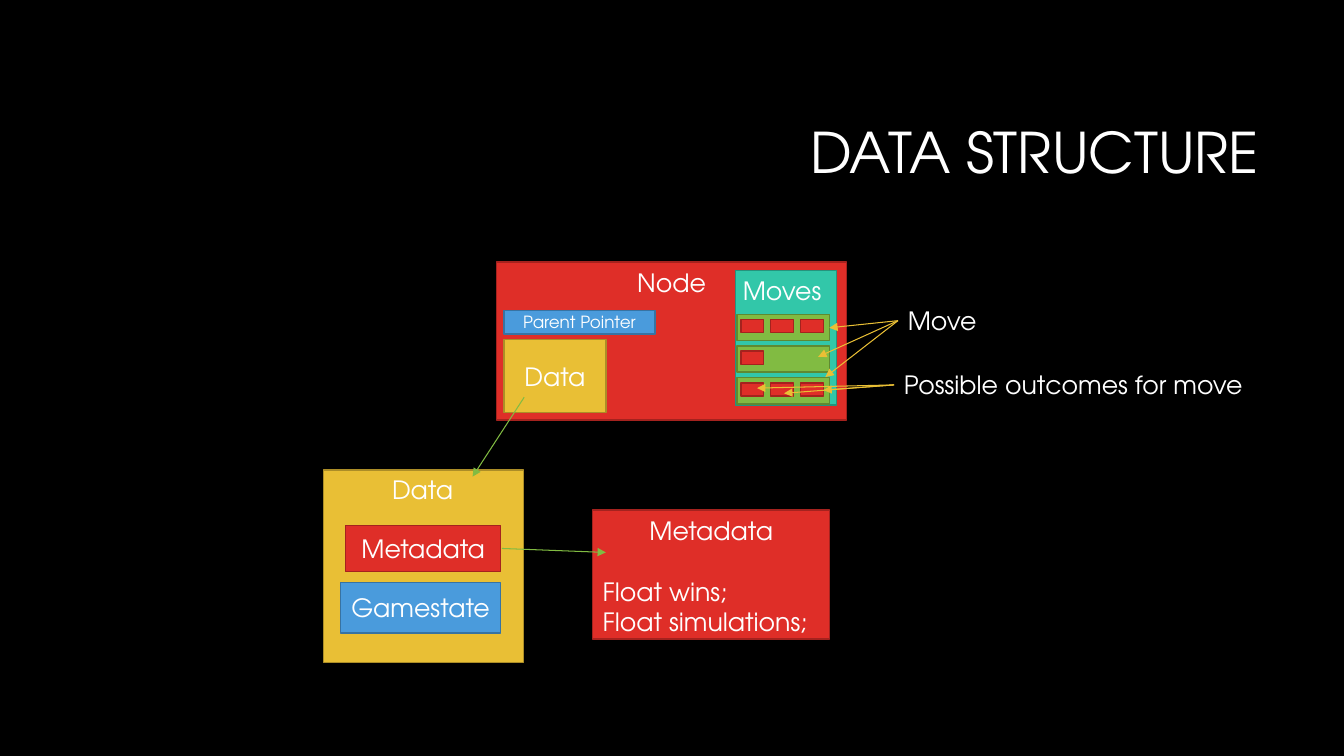
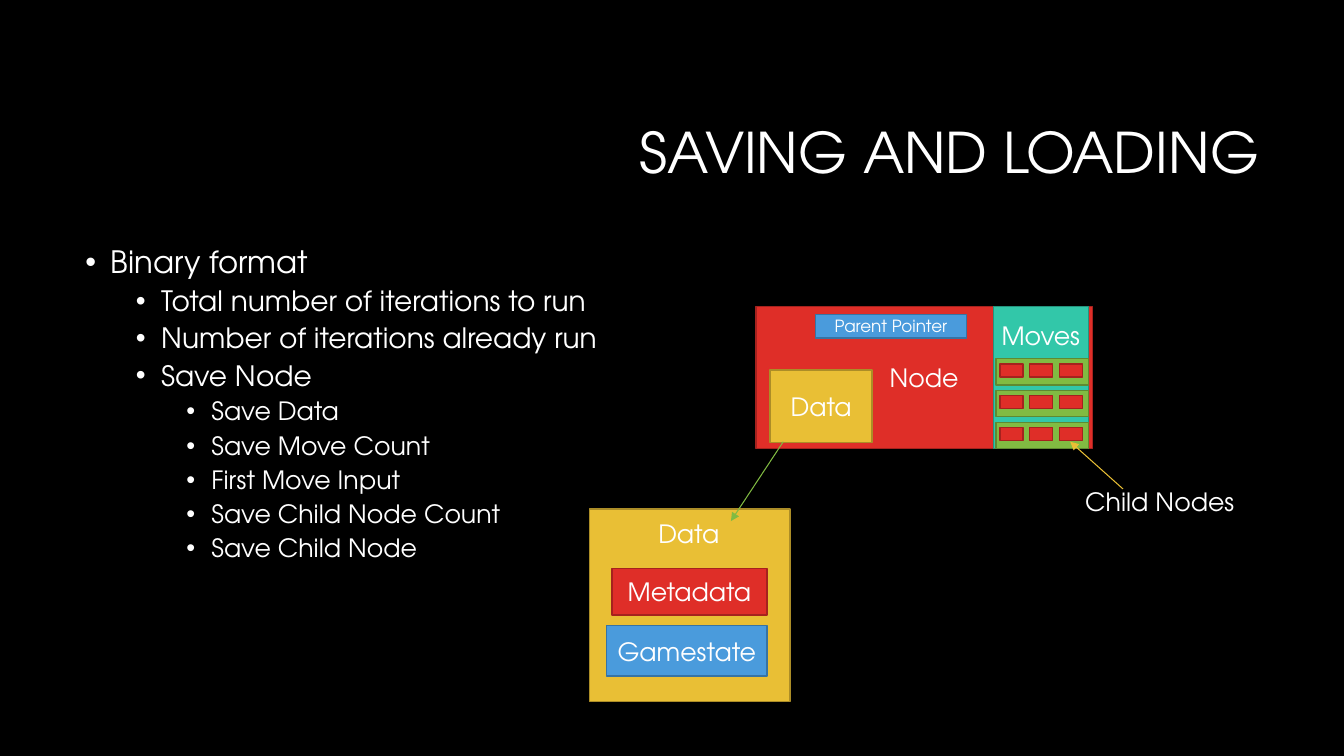
from collections import namedtuple

from lxml.etree import SubElement
from pptx import Presentation
from pptx.dml.color import RGBColor
from pptx.enum.shapes import MSO_CONNECTOR, MSO_SHAPE
from pptx.enum.text import MSO_ANCHOR, MSO_AUTO_SIZE, PP_ALIGN
from pptx.oxml.ns import qn
from pptx.util import Cm, Pt

Paint = namedtuple("Paint", "fill border")

BLACK = RGBColor(0x00, 0x00, 0x00)
WHITE = RGBColor(0xFF, 0xFF, 0xFF)
RED = Paint(RGBColor(0xDF, 0x2E, 0x28), RGBColor(0xA5, 0x22, 0x1E))
TEAL = Paint(RGBColor(0x32, 0xC7, 0xA9), RGBColor(0x25, 0x93, 0x7D))
YELLOW = Paint(RGBColor(0xE9, 0xBF, 0x35), RGBColor(0xAC, 0x8D, 0x27))
GREEN = Paint(RGBColor(0x81, 0xBB, 0x42), RGBColor(0x5F, 0x8A, 0x31))
BLUE = Paint(RGBColor(0x4A, 0x9B, 0xDC), RGBColor(0x37, 0x73, 0xA3))

FONT = "TeX Gyre Adventor"
TITLE_ONLY, TITLE_AND_CONTENT = 5, 1
BULLET_SIZES = (22, 20, 18)
BULLET_SPACES = (10, 5, 5)

SAVING_STEPS = [
    (0, "Binary format"),
    (1, "Total number of iterations to run"),
    (1, "Number of iterations already run"),
    (1, "Save Node"),
    (2, "Save Data"),
    (2, "Save Move Count"),
    (2, "First Move Input"),
    (2, "Save Child Node Count"),
    (2, "Save Child Node"),
]


class Deck:
    def __init__(self):
        self.presentation = Presentation()
        self.presentation.slide_width = Cm(33.87)
        self.presentation.slide_height = Cm(19.05)
        background = self.presentation.slide_master.background.fill
        background.solid()
        background.fore_color.rgb = BLACK
        self.slide = None

    def new_slide(self, layout, title):
        layouts = self.presentation.slide_layouts
        self.slide = self.presentation.slides.add_slide(layouts[layout])
        shape = self.slide.shapes.title
        self.place(shape, 8.05, 2.13, 23.93, 3.58)
        shape.text_frame.vertical_anchor = MSO_ANCHOR.MIDDLE
        paragraph = shape.text_frame.paragraphs[0]
        paragraph.line_spacing = 0.9
        self.add_text(paragraph, title, 40, PP_ALIGN.RIGHT)

    def place(self, shape, left, top, width, height):
        shape.left, shape.top = Cm(left), Cm(top)
        shape.width, shape.height = Cm(width), Cm(height)
        shape.text_frame.word_wrap = True
        shape.text_frame.auto_size = MSO_AUTO_SIZE.NONE

    def add_text(self, paragraph, text, size=18, alignment=PP_ALIGN.LEFT):
        paragraph.alignment = alignment
        run = paragraph.add_run()
        run.text = text
        run.font.name = FONT
        run.font.size = Pt(size)
        run.font.color.rgb = WHITE

    def bullets(self, items):
        shape = self.slide.placeholders[1]
        self.place(shape, 1.9, 6.1, 30.05, 11.18)
        frame = shape.text_frame
        frame.vertical_anchor = MSO_ANCHOR.TOP
        for index, (level, text) in enumerate(items):
            paragraph = frame.add_paragraph() if index else frame.paragraphs[0]
            paragraph.level = level
            paragraph.line_spacing = 0.9
            paragraph.space_before = Pt(BULLET_SPACES[level])
            self.add_text(paragraph, text, BULLET_SIZES[level])
            properties = paragraph._p.get_or_add_pPr()
            properties.set("marL", str(Pt(18 + 36 * level)))
            properties.set("indent", str(-Pt(18)))
            SubElement(properties, qn("a:buFont")).set("typeface", "Arial")
            SubElement(properties, qn("a:buChar")).set("char", "•")

    def box(self, left, top, width, height, paint, text="", size=18,
            anchor=MSO_ANCHOR.MIDDLE):
        shape = self.slide.shapes.add_shape(
            MSO_SHAPE.RECTANGLE, Cm(left), Cm(top), Cm(width), Cm(height))
        shape.shadow.inherit = False
        shape.fill.solid()
        shape.fill.fore_color.rgb = paint.fill
        shape.line.color.rgb = paint.border
        shape.line.width = Pt(1)
        shape.text_frame.vertical_anchor = anchor
        if text:
            paragraph = shape.text_frame.paragraphs[0]
            self.add_text(paragraph, text, size, PP_ALIGN.CENTER)
        return shape

    def label(self, left, top, width, text):
        shape = self.slide.shapes.add_textbox(
            Cm(left), Cm(top), Cm(width), Cm(1.02))
        shape.text_frame.word_wrap = False
        shape.text_frame.auto_size = MSO_AUTO_SIZE.SHAPE_TO_FIT_TEXT
        self.add_text(shape.text_frame.paragraphs[0], text)

    def arrow(self, start, end, paint):
        connector = self.slide.shapes.add_connector(
            MSO_CONNECTOR.STRAIGHT, Cm(start[0]), Cm(start[1]),
            Cm(end[0]), Cm(end[1]))
        connector.line.color.rgb = paint.fill
        connector.line.width = Pt(0.75)
        properties = connector._element.spPr
        line = properties.find(qn("a:ln"))
        SubElement(line, qn("a:tailEnd")).set("type", "triangle")
        SubElement(properties, qn("a:effectLst"))

    def move_rows(self, left, top, outcome_counts):
        for row, count in enumerate(outcome_counts):
            row_top = top + 0.8 * row
            self.box(left, row_top, 2.34, 0.66, GREEN)
            for column in range(count):
                self.box(left + 0.1 + 0.75 * column, row_top + 0.13,
                         0.58, 0.33, RED)

    def node_data(self, left, top):
        self.box(left, top, 2.57, 1.83, YELLOW, "Data")

    def parent_pointer(self, left, top):
        self.box(left, top, 3.81, 0.6, BLUE, "Parent Pointer", 12)

    def data_detail(self, left, top, drop=0):
        self.box(left, top, 5.05, 4.85, YELLOW)
        self.label(left + 1.48, top + drop, 2.08, "Data")
        self.box(left + 0.56, top + 1.4 + drop, 3.91, 1.17, RED, "Metadata")
        self.box(left + 0.43, top + 2.84 + drop, 4.04, 1.27, BLUE, "Gamestate")


def build_data_structure(deck):
    deck.new_slide(TITLE_ONLY, "DATA STRUCTURE")
    deck.box(12.52, 6.6, 8.81, 3.99, RED, "Node", anchor=MSO_ANCHOR.TOP)
    deck.box(18.54, 6.81, 2.54, 3.4, TEAL)
    deck.node_data(12.7, 8.56)
    deck.move_rows(18.57, 7.92, (3, 1, 3))
    deck.label(18.47, 6.81, 2.54, "Moves")
    deck.parent_pointer(12.7, 7.82)
    deck.data_detail(8.15, 11.84)
    deck.arrow((13.21, 10.01), (11.91, 12.01), GREEN)

    metadata = deck.box(14.94, 12.85, 5.97, 3.25, RED, "Metadata",
                        anchor=MSO_ANCHOR.TOP)
    for text, space in (("Float wins;", 22), ("Float simulations;", 0)):
        paragraph = metadata.text_frame.add_paragraph()
        paragraph.space_before = Pt(space)
        deck.add_text(paragraph, text)
    deck.arrow((12.65, 13.82), (15.27, 13.92), GREEN)

    deck.label(22.63, 7.57, 2.29, "Move")
    for end in ((20.9, 8.26), (20.62, 8.99), (20.8, 9.5)):
        deck.arrow((22.63, 8.08), end, YELLOW)
    deck.label(22.53, 9.19, 9.19, "Possible outcomes for move")
    for end in ((20.75, 9.83), (19.76, 9.91), (19.08, 9.78)):
        deck.arrow((22.53, 9.7), end, YELLOW)


def build_saving_and_loading(deck):
    deck.new_slide(TITLE_AND_CONTENT, "SAVING AND LOADING")
    deck.bullets(SAVING_STEPS)
    deck.box(19.05, 7.72, 8.48, 3.58, RED, "Node")
    deck.box(25.04, 7.72, 2.39, 3.58, TEAL)
    deck.node_data(19.41, 9.32)
    deck.move_rows(25.1, 9.04, (3, 3, 3))
    deck.label(24.99, 7.95, 2.54, "Moves")
    deck.label(27.1, 12.12, 4.32, "Child Nodes")
    deck.arrow((28.3, 12.32), (26.97, 11.13), YELLOW)
    deck.parent_pointer(20.55, 7.92)
    deck.data_detail(14.86, 12.83, drop=0.1)
    deck.arrow((19.74, 11.13), (18.42, 13.13), GREEN)


def main():
    deck = Deck()
    build_data_structure(deck)
    build_saving_and_loading(deck)
    deck.presentation.save("out.pptx")


if __name__ == "__main__":
    main()
